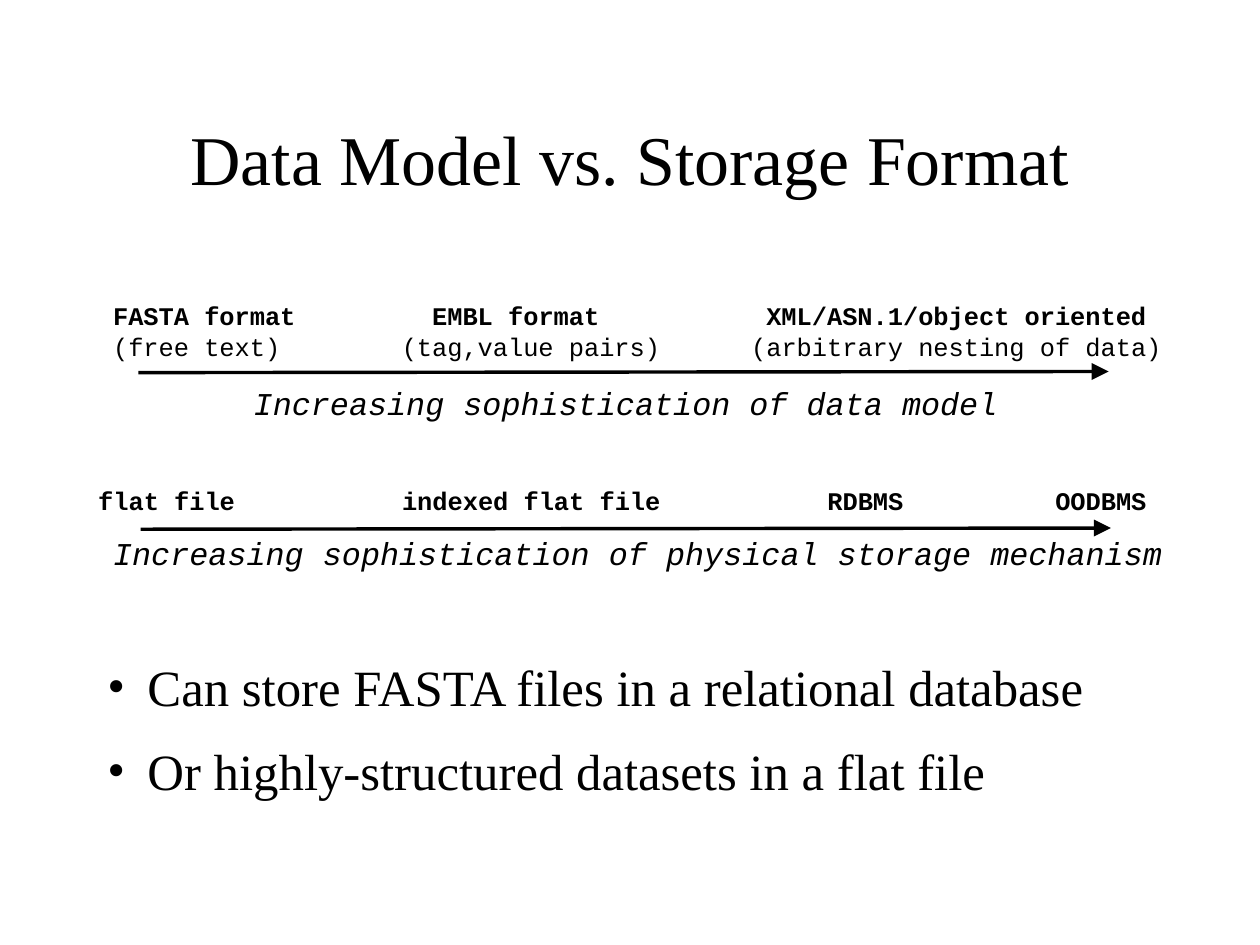
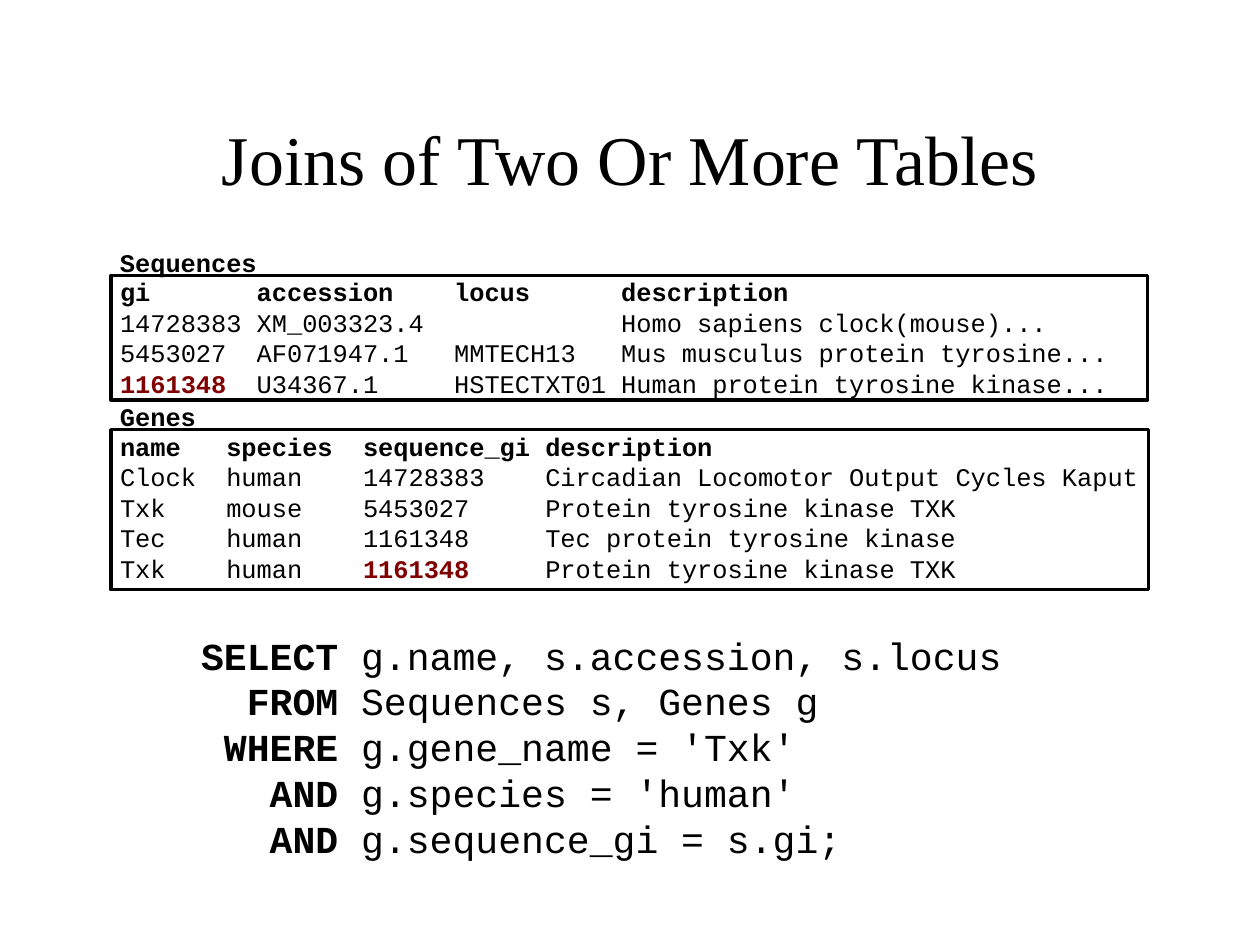
from dataclasses import dataclass

from lxml.etree import SubElement
from pptx import Presentation
from pptx.dml.color import RGBColor
from pptx.enum.shapes import MSO_CONNECTOR as Connector, MSO_SHAPE as Shape
from pptx.enum.text import MSO_ANCHOR as Anchor, PP_ALIGN as Align
from pptx.oxml.ns import qn
from pptx.util import Inches, Pt


@dataclass(frozen=True)
class Theme:
    serif: str = "Times New Roman"
    mono: str = "Courier New"
    ink: RGBColor = RGBColor(0x00, 0x00, 0x00)
    key: RGBColor = RGBColor(0x80, 0x00, 0x00)
    title: int = 44
    body: int = 32
    code: int = 24
    caption: int = 20
    data: int = 16
    line: float = 2.15
    leading: float = 1.2  # line pitch of monospaced text, in type sizes


THEME = Theme()
PAGE_POINTS = (793.75, 595.25)
CHARACTER = 9.57 / 72  # inches, width of one character of data text
ROW = THEME.leading * THEME.data / 72  # inches


# Text helpers
def add_run(paragraph, text, *, size, font=THEME.mono, color=THEME.ink,
            bold=False, italic=False):
    run = paragraph.add_run()
    run.text = text
    run.font.name = font
    run.font.size = Pt(size)
    run.font.color.rgb = color
    run.font.bold = bold
    run.font.italic = italic
    if font == THEME.mono:
        paragraph.line_spacing = Pt(size * THEME.leading)


def clear_margins(target):
    target.margin_left = target.margin_right = 0
    target.margin_top = target.margin_bottom = 0


def add_frame(slide, box, anchor=Anchor.TOP):
    frame = slide.shapes.add_textbox(*map(Inches, box)).text_frame
    frame.word_wrap = True
    frame.vertical_anchor = anchor
    clear_margins(frame)
    return frame


def add_text(slide, box, text, *, align=Align.LEFT, anchor=Anchor.TOP, **style):
    paragraph = add_frame(slide, box, anchor).paragraphs[0]
    paragraph.alignment = align
    add_run(paragraph, text, **style)


def next_paragraph(frame, index):
    return frame.add_paragraph() if index else frame.paragraphs[0]


def set_tabs(paragraph, columns):
    tab_list = SubElement(paragraph._p.get_or_add_pPr(), qn("a:tabLst"))
    for column in columns:
        SubElement(tab_list, qn("a:tab"), algn="l",
                   pos=str(Inches(column * CHARACTER)))


def set_bullet(paragraph):
    properties = paragraph._p.get_or_add_pPr()
    properties.set("marL", str(Inches(0.47)))
    properties.set("indent", str(Inches(-0.35)))
    SubElement(properties, qn("a:buFont"), typeface=THEME.serif)
    SubElement(properties, qn("a:buChar"), char="•")


# Shared parts
def add_titled_slide(presentation, title):
    slide = presentation.slides.add_slide(presentation.slide_layouts[6])
    add_text(slide, (0.81, 0.69, 9.41, 1.38), title, align=Align.CENTER,
             anchor=Anchor.MIDDLE, size=THEME.title, font=THEME.serif)
    return slide


def add_arrow(slide, left, top, width, rise=0.01):
    arrow = slide.shapes.add_connector(
        Connector.STRAIGHT, Inches(left), Inches(top),
        Inches(left + width), Inches(top - rise))
    arrow.line.color.rgb = THEME.ink
    arrow.line.width = Pt(THEME.line)
    SubElement(arrow.line._get_or_add_ln(), qn("a:tailEnd"),
               type="triangle", w="lg", len="lg")
    SubElement(arrow._element.spPr, qn("a:effectLst"))


def add_scale_labels(slide, left, top, lines):
    """Each line is (bold, labels, character columns of the later labels)."""
    frame = add_frame(slide, (left, top, 9.6, ROW * len(lines)))
    for index, (bold, labels, columns) in enumerate(lines):
        paragraph = next_paragraph(frame, index)
        set_tabs(paragraph, columns)
        add_run(paragraph, "\t".join(labels), size=THEME.data, bold=bold)


def add_bullets(slide, box, items):
    frame = add_frame(slide, box)
    for index, item in enumerate(items):
        paragraph = next_paragraph(frame, index)
        set_bullet(paragraph)
        paragraph.space_after = Pt(14.1)
        add_run(paragraph, item, size=THEME.body, font=THEME.serif)


def fill_cell(cell, value, **style):
    cell.fill.background()
    clear_margins(cell)
    paragraph = cell.text_frame.paragraphs[0]
    if value:
        add_run(paragraph, value, size=THEME.data, **style)
    else:  # keeps an empty cell from stretching its row
        SubElement(paragraph._p, qn("a:endParaRPr"), sz=str(THEME.data * 100))


def add_record_table(slide, box, name, columns, rows, key_cell):
    """Name above a framed table; columns are character offsets."""
    left, top, width, height = box
    inset, lift, drop = 0.08, 0.25, 0.03
    text_left, text_width = left + inset, width - inset
    add_text(slide, (text_left, top - lift, 3, ROW), name,
             size=THEME.data, bold=True)

    # Records
    table = slide.shapes.add_table(
        len(rows), len(columns), Inches(text_left), Inches(top + drop),
        Inches(text_width), Inches(ROW * len(rows))).table
    table.first_row = table.horz_banding = False
    starts = [column * CHARACTER for column in columns] + [text_width]
    for column, start, end in zip(table.columns, starts, starts[1:]):
        column.width = Inches(end - start)
    for row_index, values in enumerate(rows):
        table.rows[row_index].height = Inches(ROW)
        for column_index, value in enumerate(values):
            is_key = (row_index, column_index) == key_cell
            fill_cell(table.cell(row_index, column_index), value,
                      bold=is_key or row_index == 0,
                      color=THEME.key if is_key else THEME.ink)

    # Frame
    border = slide.shapes.add_shape(Shape.RECTANGLE, *map(Inches, box))
    border.shadow.inherit = False
    border.fill.background()
    border.line.color.rgb = THEME.ink
    border.line.width = Pt(THEME.line)


def add_query(slide, box, clauses):
    frame = add_frame(slide, box)
    for index, (keyword, rest) in enumerate(clauses):
        paragraph = next_paragraph(frame, index)
        add_run(paragraph, keyword, size=THEME.code, bold=True)
        add_run(paragraph, rest, size=THEME.code)


# Slides
def build_model_slide(presentation):
    slide = add_titled_slide(presentation, "Data Model vs. Storage Format")

    # Data model scale
    add_scale_labels(slide, 0.99, 2.63, [
        (True, ("FASTA format", "EMBL format", "XML/ASN.1/object oriented"),
         (21, 43)),
        (False, ("(free text)", "(tag,value pairs)",
                 "(arbitrary nesting of data)"), (19, 42)),
    ])
    add_arrow(slide, 1.21, 3.26, 8.49)
    add_text(slide, (2.22, 3.36, 6.8, 0.33),
             "Increasing sophistication of data model",
             size=THEME.caption, italic=True)

    # Storage scale
    add_scale_labels(slide, 0.86, 4.24, [
        (True, ("flat file", "indexed flat file", "RDBMS", "OODBMS"),
         (20, 48, 63)),
    ])
    add_arrow(slide, 1.23, 4.63, 8.49)
    add_text(slide, (0.99, 4.67, 9.5, 0.33),
             "Increasing sophistication of physical storage mechanism",
             size=THEME.caption, italic=True)

    add_bullets(slide, (0.82, 5.74, 9.41, 1.48), [
        "Can store FASTA files in a relational database",
        "Or highly-structured datasets in a flat file",
    ])


def build_join_slide(presentation):
    slide = add_titled_slide(presentation, "Joins of Two Or More Tables")
    add_record_table(slide, (0.97, 2.41, 9.07, 1.09), "Sequences",
                     (0, 9, 22, 33), [
        ("gi", "accession", "locus", "description"),
        ("14728383", "XM_003323.4", "", "Homo sapiens clock(mouse)..."),
        ("5453027", "AF071947.1", "MMTECH13",
         "Mus musculus protein tyrosine..."),
        ("1161348", "U34367.1", "HSTECTXT01",
         "Human protein tyrosine kinase..."),
    ], key_cell=(3, 0))
    add_record_table(slide, (0.97, 3.76, 9.08, 1.4), "Genes",
                     (0, 7, 16, 28), [
        ("name", "species", "sequence_gi", "description"),
        ("Clock", "human", "14728383",
         "Circadian Locomotor Output Cycles Kaput"),
        ("Txk", "mouse", "5453027", "Protein tyrosine kinase TXK"),
        ("Tec", "human", "1161348", "Tec protein tyrosine kinase"),
        ("Txk", "human", "1161348", "Protein tyrosine kinase TXK"),
    ], key_cell=(4, 2))
    add_query(slide, (1.76, 5.53, 7.2, 2), [
        ("SELECT", " g.name, s.accession, s.locus"),
        ("  FROM", " Sequences s, Genes g"),
        (" WHERE", " g.gene_name = 'Txk'"),
        ("   AND", " g.species = 'human'"),
        ("   AND", " g.sequence_gi = s.gi;"),
    ])


def main():
    presentation = Presentation()
    page_width, page_height = PAGE_POINTS
    presentation.slide_width = Inches(page_width / 72)
    presentation.slide_height = Inches(page_height / 72)
    build_model_slide(presentation)
    build_join_slide(presentation)
    presentation.save("out.pptx")


if __name__ == "__main__":
    main()
